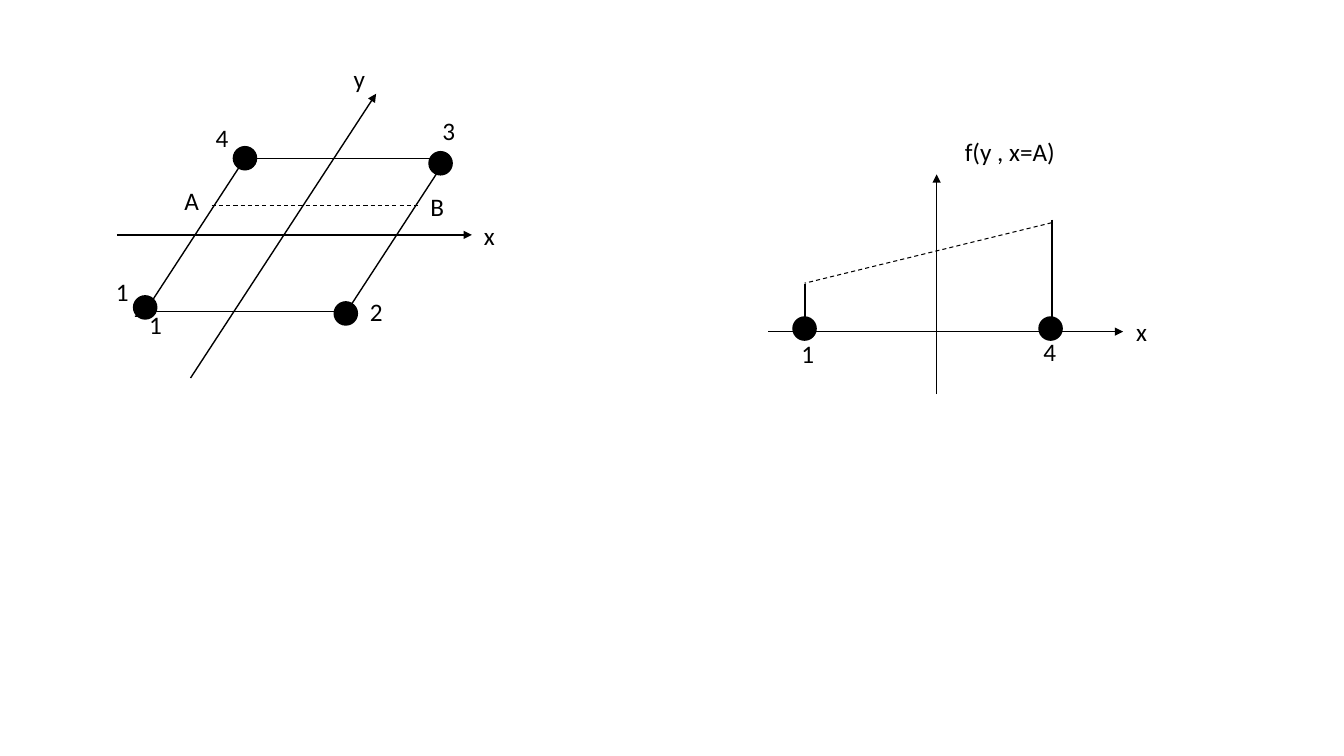
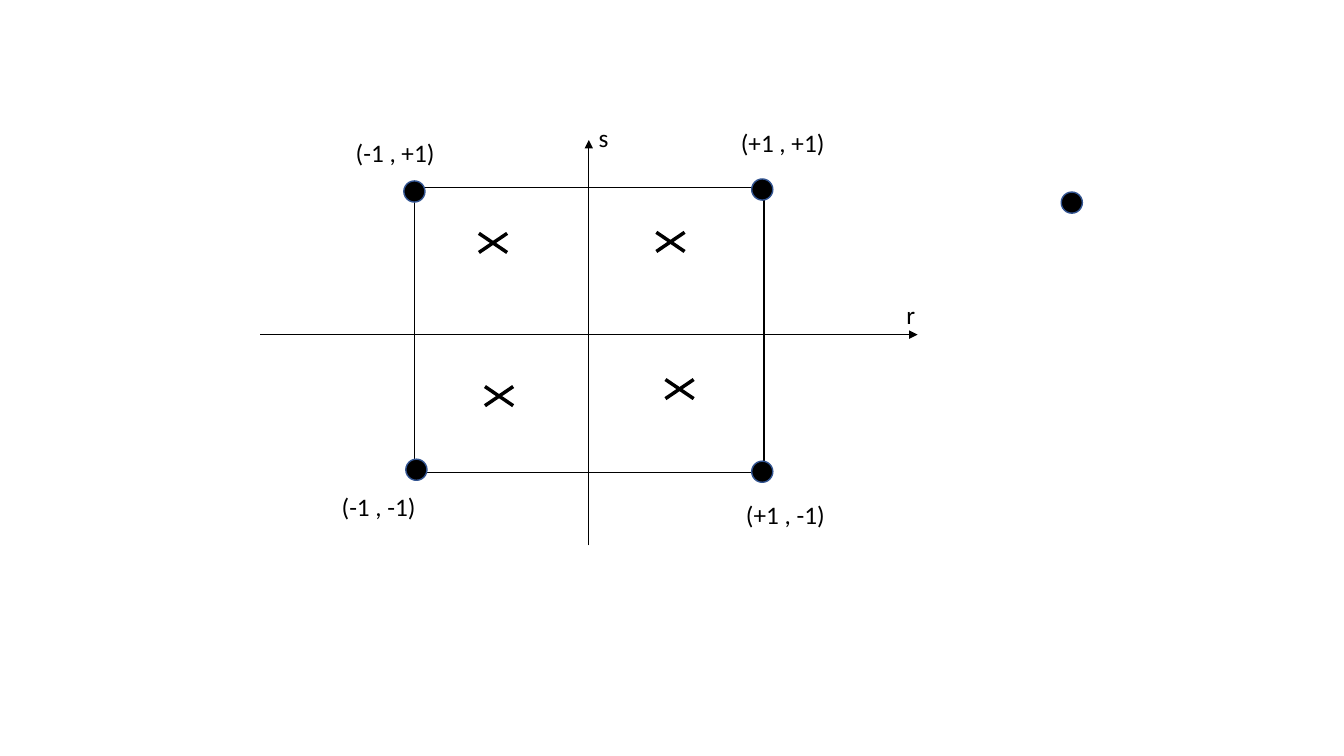
from pptx import Presentation
from pptx.dml.color import RGBColor
from pptx.enum.dml import MSO_LINE
from pptx.enum.shapes import MSO_CONNECTOR, MSO_SHAPE
from pptx.enum.text import MSO_AUTO_SIZE
from pptx.oxml.ns import qn
from pptx.util import Inches, Pt
from lxml import etree

LINE = MSO_CONNECTOR.STRAIGHT
OVAL, RECT = MSO_SHAPE.OVAL, MSO_SHAPE.RECTANGLE
DASH = MSO_LINE.DASH
BLACK, BLUE = "000000", "325491"
FONT, SIZE = "Calibri", 18
CHAR_W, TEXT_H = 0.27, 0.4

# Slide 1, left: skewed element, corners in node order 1 to 4
SKEW = [(1.44, 3.09), (3.44, 3.09), (4.43, 1.57), (2.43, 1.57)]
SKEW_AXES = [((1.89, 3.75), (3.73, 0.93)), ((1.16, 2.33), (4.68, 2.33))]
SKEW_CUT = ((2.1, 2.04), (4.17, 2.04))
SKEW_DOTS = [(2.43, 1.57), (1.44, 3.05), (3.43, 3.11), (4.37, 1.62)]
SKEW_TEXT = [("1", 1.05, 2.69), ("1", 1.21, 2.85), ("4", 2.04, 1.16),
             ("2", 3.57, 2.89), ("3", 4.29, 1.09), ("A", 1.73, 1.79),
             ("B", 4.17, 1.85), ("x", 4.7, 2.14), ("y", 3.41, 0.58)]
LOOSE_TEXT = ("1", 1.38, 3.02)

# Slide 1, right: function along the edge from node 1 to node 4
BASE = 3.29
EDGE_AXES = [((7.62, BASE), (11.14, BASE)), ((9.29, 3.91), (9.29, 1.73))]
EDGE_BARS = [(10.43, 2.18), (7.98, 2.82)]
EDGE_CUT = ((10.43, 2.21), (7.98, 2.81))
EDGE_DOTS = [(7.98, 3.26), (10.42, 3.26)]
EDGE_TEXT = [("x", 11.17, 3.09), ("1", 7.85, 3.31), ("4", 10.25, 3.29)]
EDGE_NAME = ("f(y , x=A)", 9.47, 1.3, 1.82)

# Slide 2: square element with integration points
SQUARE = (4.11, 1.86, 3.47, 2.83)
SQUARE_DOTS = [(4.11, 1.9), (7.56, 1.88), (4.13, 4.66), (7.56, 4.68)]
LOOSE_DOT = (10.63, 2.01)
SQUARE_AXES = [((2.58, 3.32), (9.1, 3.32)), ((5.84, 5.41), (5.84, 1.39))]
POINTS = [(4.89, 2.41), (6.65, 2.4), (4.95, 3.93), (6.74, 3.86)]
SQUARE_TEXT = [("r", 8.89, 2.92, 0.29), ("s", 5.84, 1.16, 0.3),
               ("(-1 , -1)", 3.29, 4.83, 0.95), ("(+1 , -1)", 7.3, 4.9, 0.99),
               ("(+1 , +1)", 7.25, 1.21, 1.04), ("(-1 , +1)", 3.43, 1.31, 0.99)]


# Drawing helpers
def color(code):
    return RGBColor.from_string(code)


def box(left, top, wide, high):
    return [Inches(v) for v in (left, top, wide, high)]


def line(shapes, start, end, width=1, arrow=False, dash=None):
    item = shapes.add_connector(LINE, *box(*start, *end))
    item.line.color.rgb = color(BLACK)
    item.line.width = Pt(width)
    if dash:
        item.line.dash_style = dash
    if arrow:
        stroke = item.line._get_or_add_ln()
        etree.SubElement(stroke, qn("a:tailEnd"), type="triangle")
    etree.SubElement(item._element.spPr, qn("a:effectLst"))


def shape(shapes, kind, place, fill=None, edge=BLACK):
    item = shapes.add_shape(kind, *box(*place))
    item.shadow.inherit = False
    if fill:
        item.fill.solid()
        item.fill.fore_color.rgb = color(fill)
    else:
        item.fill.background()
    item.line.color.rgb = color(edge)
    item.line.width = Pt(1)


def dot(shapes, center, size=0.23, edge=BLACK):
    x, y = center
    shape(shapes, OVAL, (x - size / 2, y - size / 2, size, size), BLACK, edge)


def label(shapes, text, left, top, wide=CHAR_W, wrap=True):
    frame = shapes.add_textbox(*box(left, top, wide, TEXT_H)).text_frame
    frame.word_wrap = wrap
    frame.auto_size = MSO_AUTO_SIZE.SHAPE_TO_FIT_TEXT
    par = frame.paragraphs[0]
    par.text = text
    par.font.name, par.font.size = FONT, Pt(SIZE)
    par.font.color.rgb = color(BLACK)


def cross(shapes, center, dx=0.14, dy=0.095):
    x, y = center
    for sign in (1, -1):
        line(shapes, (x - dx, y - sign * dy), (x + dx, y + sign * dy), 2.5)


def axes(shapes, pairs, width=1):
    for start, end in pairs:
        line(shapes, start, end, width, arrow=True)


# Diagrams
def skewed(shapes):
    for start, end in zip(SKEW, SKEW[1:] + SKEW[:1]):
        line(shapes, start, end)
    axes(shapes, SKEW_AXES)
    for center in SKEW_DOTS:
        dot(shapes, center)
    for item in SKEW_TEXT:
        label(shapes, *item)
    line(shapes, *SKEW_CUT, 0.75, dash=DASH)


def edge_plot(shapes):
    axes(shapes, EDGE_AXES)
    for x, top in EDGE_BARS:
        line(shapes, (x, top), (x, BASE), 1.5)
    line(shapes, *EDGE_CUT, 0.75, dash=DASH)
    for item in EDGE_TEXT + [EDGE_NAME]:
        label(shapes, *item)
    for center in EDGE_DOTS:
        dot(shapes, center)


def square(shapes):
    shape(shapes, RECT, SQUARE)
    for center in SQUARE_DOTS:
        dot(shapes, center, 0.21, BLUE)
    axes(shapes, SQUARE_AXES, 0.5)
    for center in POINTS:
        cross(shapes, center)
    for item in SQUARE_TEXT:
        label(shapes, *item, wrap=False)


def main():
    deck = Presentation()
    deck.slide_width, deck.slide_height = Inches(13.33), Inches(7.5)
    blank = deck.slide_layouts[6]

    first = deck.slides.add_slide(blank).shapes
    skewed(first.add_group_shape().shapes)
    label(first, *LOOSE_TEXT)
    edge_plot(first.add_group_shape().shapes)

    second = deck.slides.add_slide(blank).shapes
    dot(second, LOOSE_DOT, 0.21, BLUE)
    square(second.add_group_shape().shapes)

    deck.save("out.pptx")


if __name__ == "__main__":
    main()
